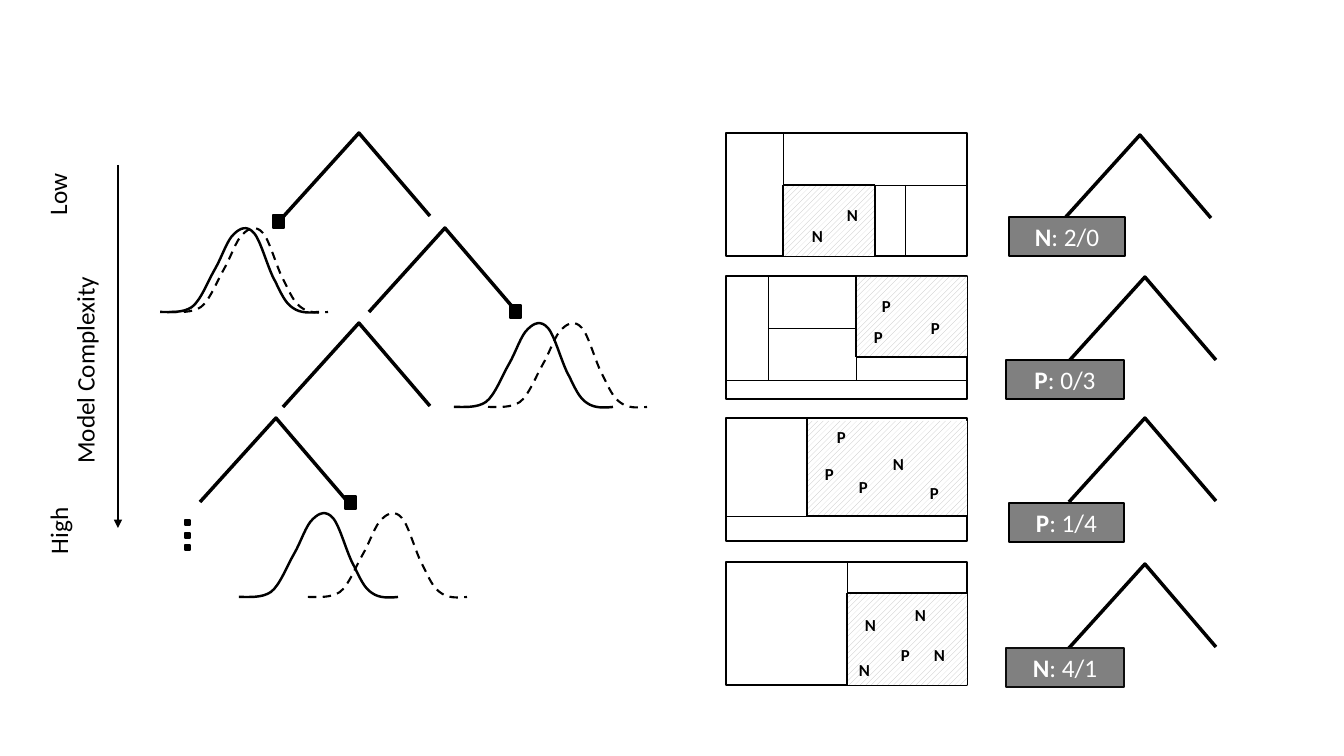
"""Build a slide that pairs a model complexity tree with feature space partitions."""

from typing import NamedTuple

import lxml.etree
import pptx
import pptx.dml.color
import pptx.enum.dml
import pptx.enum.shapes
import pptx.enum.text
import pptx.oxml.ns
import pptx.util

PIXEL = 914400 / 100.8
FONT = "Calibri"
COLORS = {"ink": "000000", "paper": "FFFFFF", "badge": "808080", "hatch": "BFBFBF", "soft_ink": "0D0D0D"}
THIN, MEDIUM, THICK = 0.5, 1, 2.5


class Box(NamedTuple):
    left: int
    top: int
    width: int
    height: int


class Point(NamedTuple):
    x: int
    y: int


class Split(NamedTuple):
    start: Point
    end: Point
    weight: float


class Sample(NamedTuple):
    label: str
    corner: Point


class Badge(NamedTuple):
    box: Box
    label: str
    counts: str
    outline: str = "ink"


class Partition(NamedTuple):
    top: int
    region: Box
    splits: list[Split]
    samples: list[Sample]
    fork: Point
    badge: Badge


class AxisLabel(NamedTuple):
    text: str
    box: Box


class Bell(NamedTuple):
    corner: Point
    dashed: bool


FORK = [Point(0, 84), Point(76, 0), Point(147, 83)]
BELL = [Point(*pair) for pair in (
    (0, 84), (11, 84), (23, 85), (32, 79), (41, 72), (48, 53), (55, 41), (62, 29),
    (67, 12), (74, 6), (80, 0), (87, -3), (94, 5), (101, 13), (108, 41), (115, 53),
    (121, 65), (125, 75), (133, 80), (140, 85), (149, 85), (159, 84))]
TREE_FORKS = [Point(283, 133), Point(369, 228), Point(283, 323), Point(200, 418)]
BELLS = [Bell(Point(x + shift, y), shift > 0)
         for x, y, gap in ((160, 228, 9), (454, 323, 34), (239, 513, 69)) for shift in (0, gap)]
LEAVES = [Box(x, y, 11, 13) for x, y in ((273, 215), (510, 305), (345, 496))]
ELLIPSIS = [Box(185, y, 5, 5) for y in (520, 533, 545)]
AXIS_LABELS = [AxisLabel("High", Box(24, 510, 68, 40)), AxisLabel("Low", Box(26, 174, 62, 40)),
               AxisLabel("Model Complexity", Box(-24, 345, 217, 40))]


def splits(*rows: tuple[int, int, int, int, float]) -> list[Split]:
    """Turn rows of coordinates and weight into splits."""
    return [Split(Point(a, b), Point(c, d), weight) for a, b, c, d, weight in rows]


def samples(*rows: tuple[str, int, int]) -> list[Sample]:
    """Turn rows of label and corner into samples."""
    return [Sample(label, Point(x, y)) for label, x, y in rows]


PARTITIONS = [
    Partition(133, Box(783, 186, 92, 70),
              splits((783, 185, 783, 256, MEDIUM), (783, 185, 875, 185, MEDIUM), (875, 185, 875, 256, MEDIUM),
                     (905, 185, 905, 256, THIN), (783, 185, 968, 185, THIN), (783, 133, 783, 256, THIN)),
              samples(("N", 802, 221), ("N", 837, 200)),
              Point(1064, 135), Badge(Box(1009, 217, 116, 39), "N", ": 2/0")),
    Partition(276, Box(855, 277, 112, 80),
              splits((968, 380, 726, 380, THIN), (768, 276, 768, 380, THIN), (856, 276, 856, 357, MEDIUM),
                     (768, 328, 856, 328, THIN), (968, 357, 856, 357, MEDIUM), (856, 276, 856, 380, THIN)),
              samples(("P", 864, 322), ("P", 921, 313), ("P", 872, 291)),
              Point(1069, 277), Badge(Box(1006, 360, 118, 39), "P", ": 0/3")),
    Partition(418, Box(807, 421, 160, 95),
              splits((968, 516, 807, 516, MEDIUM), (807, 418, 807, 516, MEDIUM), (968, 516, 726, 516, THIN)),
              samples(("P", 827, 422), ("P", 815, 459), ("P", 849, 472), ("P", 920, 478), ("N", 883, 449)),
              Point(1069, 418), Badge(Box(1009, 503, 115, 39), "P", ": 1/4")),
    Partition(562, Box(847, 593, 120, 92),
              splits((847, 685, 847, 593, MEDIUM), (968, 593, 847, 593, MEDIUM), (847, 685, 847, 562, THIN)),
              samples(("N", 855, 610), ("N", 924, 640), ("P", 891, 640), ("N", 905, 600), ("N", 849, 655)),
              Point(1069, 564), Badge(Box(1006, 648, 118, 39), "N", ": 4/1", "soft_ink")),
]


def emu(pixels: int) -> pptx.util.Emu:
    """Scale pixels to EMU."""
    return pptx.util.Emu(round(pixels * PIXEL))


def rgb(name: str) -> pptx.dml.color.RGBColor:
    """Look up a named colour."""
    return pptx.dml.color.RGBColor.from_string(COLORS[name])


def ink_line(line: pptx.dml.line.LineFormat, weight: float, color: str = "ink") -> None:
    """Set the colour and weight of a line."""
    line.color.rgb = rgb(color)
    line.width = pptx.util.Pt(weight)


def style_run(run: pptx.text.text._Run, size: int, color: str, bold: bool) -> None:
    """Set the font of a run."""
    run.font.name, run.font.size, run.font.bold = FONT, pptx.util.Pt(size), bold
    run.font.color.rgb = rgb(color)


def draw_rect(box: Box, fill: str, outline: str = "ink") -> pptx.shapes.autoshape.Shape:
    """Draw a filled and outlined rectangle."""
    rect = slide.shapes.add_shape(pptx.enum.shapes.MSO_SHAPE.RECTANGLE, *map(emu, box))
    rect.shadow.inherit = False
    rect.fill.solid()
    rect.fill.fore_color.rgb = rgb(fill)
    ink_line(rect.line, MEDIUM, outline)
    return rect


def draw_region(box: Box) -> None:
    """Draw a hatched region without an outline."""
    region = draw_rect(box, "paper")
    region.fill.patterned()
    region.fill.pattern = pptx.enum.dml.MSO_PATTERN.WIDE_UPWARD_DIAGONAL
    region.fill.fore_color.rgb = rgb("hatch")
    region.fill.back_color.rgb = rgb("paper")
    region.line.fill.background()


def draw_outline(corner: Point, points: list[Point], weight: float) -> pptx.shapes.autoshape.Shape:
    """Draw an open unfilled outline placed at a corner."""
    start, *rest = [(emu(corner.x + p.x), emu(corner.y + p.y)) for p in points]
    builder = slide.shapes.build_freeform(*start)
    builder.add_line_segments(rest, close=False)
    outline = builder.convert_to_shape()
    outline.shadow.inherit = False
    outline.fill.background()
    ink_line(outline.line, weight)
    return outline


def draw_bell(bell: Bell) -> None:
    """Draw a bell curve of cubic segments."""
    curve = draw_outline(bell.corner, BELL, 1.5 if bell.dashed else 1.75)
    if bell.dashed:
        curve.line.dash_style = pptx.enum.dml.MSO_LINE.DASH
    steps = list(curve._element.iter(pptx.oxml.ns.qn("a:lnTo")))
    for first in range(0, len(steps), 3):
        cubic = lxml.etree.SubElement(steps[first].getparent(), pptx.oxml.ns.qn("a:cubicBezTo"))
        for step in steps[first:first + 3]:
            cubic.append(step[0])
            step.getparent().remove(step)


def draw_line(split: Split, arrow: bool = False) -> None:
    """Draw a straight line, with an arrowhead at its end if asked."""
    line = slide.shapes.add_connector(pptx.enum.shapes.MSO_CONNECTOR.STRAIGHT, *map(emu, split.start + split.end))
    ink_line(line.line, split.weight)
    if arrow:
        lxml.etree.SubElement(line.line._get_or_add_ln(), pptx.oxml.ns.qn("a:tailEnd"), type="triangle")
    lxml.etree.SubElement(line._element.spPr, pptx.oxml.ns.qn("a:effectLst"))


def draw_text(text: str, box: Box, size: int, bold: bool = False, rotation: int = 0) -> None:
    """Draw a line of text that does not wrap."""
    label = slide.shapes.add_textbox(*map(emu, box))
    label.rotation = rotation
    label.text_frame.text = text
    label.text_frame.word_wrap = False
    label.text_frame.auto_size = pptx.enum.text.MSO_AUTO_SIZE.SHAPE_TO_FIT_TEXT
    style_run(label.text_frame.paragraphs[0].runs[0], size, "ink", bold)


def draw_badge(badge: Badge) -> None:
    """Draw a leaf badge with its class and counts."""
    frame = draw_rect(badge.box, "badge", badge.outline).text_frame
    frame.vertical_anchor = pptx.enum.text.MSO_ANCHOR.MIDDLE
    frame.text = badge.label
    paragraph = frame.paragraphs[0]
    paragraph.alignment = pptx.enum.text.PP_ALIGN.CENTER
    paragraph.add_run().text = badge.counts
    for run, bold in zip(paragraph.runs, (True, False)):
        style_run(run, 18, "paper", bold)


def draw_partition(partition: Partition) -> None:
    """Draw a partitioned panel with the fork and badge beside it."""
    draw_rect(Box(726, partition.top, 241, 123), "paper")
    draw_region(partition.region)
    for split in partition.splits:
        draw_line(split)
    for label, corner in partition.samples:
        draw_text(label, Box(*corner, 31 if label == "N" else 29, 30), 12, bold=True)
    draw_outline(partition.fork, FORK, THICK)
    draw_badge(partition.badge)


deck = pptx.Presentation()
deck.slide_width, deck.slide_height = emu(1344), emu(756)
slide = deck.slides.add_slide(deck.slide_layouts[6])
draw_line(Split(Point(118, 165), Point(118, 528), 1.75), arrow=True)
for axis_label in AXIS_LABELS:
    draw_text(axis_label.text, axis_label.box, 18, rotation=270)
for tree_fork in TREE_FORKS:
    draw_outline(tree_fork, FORK, THICK)
for density in BELLS:
    draw_bell(density)
for mark in LEAVES + ELLIPSIS:
    draw_rect(mark, "ink")
for feature_space in PARTITIONS:
    draw_partition(feature_space)
deck.save("out.pptx")
